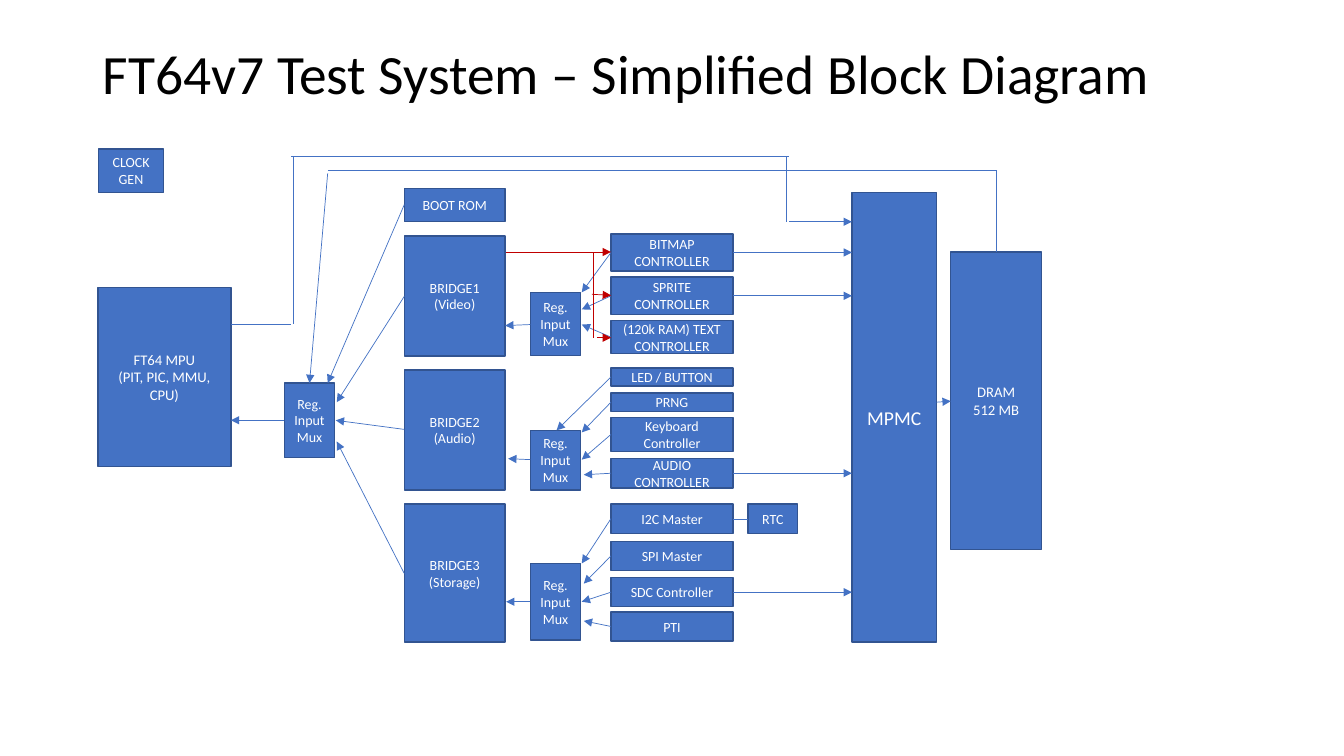
import pptx
import pptx.util
import pptx.dml.color
import pptx.enum.shapes
import pptx.enum.text
import pptx.oxml.ns
import lxml.etree

HUES = {"blue": "4472C4", "edge": "325491", "red": "C00000",
        "white": "FFFFFF", "black": "000000"}
FONT = "Calibri"
CELL = 0.1  # inches per grid column and row


def grid(count):
    return pptx.util.Inches(count * CELL)


def hue(name):
    return pptx.dml.color.RGBColor.from_string(HUES[name])


def write(frame, text, size=10, color="white", align="CENTER", inset=1, space=None):
    frame.word_wrap = True
    frame.auto_size = pptx.enum.text.MSO_AUTO_SIZE.NONE
    frame.vertical_anchor = pptx.enum.text.MSO_ANCHOR.MIDDLE
    frame.margin_left = frame.margin_right = grid(inset)
    frame.margin_top = frame.margin_bottom = 0
    frame.text = text
    for para in frame.paragraphs:
        para.alignment = getattr(pptx.enum.text.PP_ALIGN, align)
        para.line_spacing = space
        for run in para.runs:
            run.font.name = FONT
            run.font.size = pptx.util.Pt(size)
            run.font.color.rgb = hue(color)


class Chart:
    """Draws blocks and wires on a slide, measured in grid cells."""

    def __init__(self, deck):
        self.slide = deck.slides.add_slide(deck.slide_layouts[5])
        self.shapes = self.slide.shapes

    def title(self, text, left, top, width, height):
        head = self.shapes.title
        head.left, head.top = grid(left), grid(top)
        head.width, head.height = grid(width), grid(height)
        write(head.text_frame, text, size=39.6, color="black", align="LEFT", space=0.9)

    def block(self, text, left, top, width, height, size=10):
        kind = pptx.enum.shapes.MSO_SHAPE.RECTANGLE
        box = self.shapes.add_shape(kind, *map(grid, (left, top, width, height)))
        box.shadow.inherit = False
        box.fill.solid()
        box.fill.fore_color.rgb = hue("blue")
        box.line.color.rgb = hue("edge")
        box.line.width = pptx.util.Pt(1)
        write(box.text_frame, text, size=size, inset=0.5 if width < 6 else 1)

    def wire(self, start, end, color="blue", arrow=True):
        kind = pptx.enum.shapes.MSO_CONNECTOR.STRAIGHT
        link = self.shapes.add_connector(kind, *map(grid, (*start, *end)))
        link.line.color.rgb = hue(color)
        link.line.width = pptx.util.Pt(0.5)
        name = pptx.oxml.ns.qn
        props = link.element.spPr
        if arrow:
            line = props.find(name("a:ln"))
            lxml.etree.SubElement(line, name("a:tailEnd"), type="triangle")
        lxml.etree.SubElement(props, name("a:effectLst"))


# Column edges
BRIDGE, BRIDGE_W = 40.1, 10
MUX, MUX_W = 52.6, 5
UNIT, UNIT_W = 60.6, 12.1
PORT = 84.5  # left edge of the memory controller

# Text, left, top, width, height, text size
MAIN = [
    ("FT64 MPU\n(PIT, PIC, MMU, CPU)", 9.7, 28.5, 13.2, 17.8, 10.5),
    ("Reg. Input Mux", 28.2, 38, MUX_W, 7.4, 10),
    ("BOOT ROM", BRIDGE, 18.7, BRIDGE_W, 3.3, 10),
    ("RTC", 74.2, 50, 4.9, 2.9, 10),
    ("DRAM\n512 MB", 94.3, 25, 9, 29.5, 10.5),
    ("MPMC", PORT, 19.1, 8.4, 44.6, 14),
    ("CLOCK GEN", 9.8, 14.8, 6.4, 4.3, 10),
]

# Text, top, height, wire start row, wire end in the main mux
BRIDGES = [
    ("BRIDGE1\n(Video)", 23.4, 11.9, 29.4, (33.4, 39.9)),
    ("BRIDGE2\n(Audio)", 36.7, 11.9, 42.6, (33.3, 41.7)),
    ("BRIDGE3\n(Storage)", 50, 13.7, 56.9, (33.4, 43.8)),
]

# Top, height, wire start row, wire end at the bridge
MUXES = [
    (29, 6.3, 32.2, (50.1, 32.3)),
    (42.7, 5.9, 45.6, (50.4, 45.5)),
    (55.9, 7.6, 59.7, (50.2, 59.7)),
]

# Text, top, height, wire end at the mux, wired to memory
UNITS = [
    ("BITMAP\nCONTROLLER", 23.2, 3.7, (57.7, 29), True),
    ("SPRITE\nCONTROLLER", 27.5, 3.7, (57.7, 30.7), True),
    ("(120k RAM) TEXT\nCONTROLLER", 31.8, 3.3, (57.7, 32.2), False),
    ("LED / BUTTON", 36.5, 1.8, (55.2, 42.7), False),
    ("PRNG", 39, 1.8, (57.7, 42.9), False),
    ("Keyboard\nController", 41.4, 3.4, (57.7, 45.6), False),
    ("AUDIO\nCONTROLLER", 45.5, 2.9, (57.9, 47.1), True),
    ("I2C Master", 50, 2.9, (57.7, 55.9), False),
    ("SPI Master", 53.7, 2.9, (57.9, 57.9), False),
    ("SDC Controller", 57.3, 2.9, (57.7, 59.7), True),
    ("PTI", 60.7, 2.9, (57.9, 61.6), False),
]

# Start, end, colour, arrowhead
WIRES = [
    # Boot ROM and mux output
    ((BRIDGE, 20.3), (32.5, 38), "blue", True),
    ((28.2, 41.7), (22.9, 41.7), "blue", True),
    # Clock chip and memory
    ((72.7, 51.5), (74.2, 51.5), "blue", False),
    ((92.9, 39.9), (94.3, 39.8), "blue", True),
    # Memory back to the main mux
    ((98.8, 25), (98.8, 16.9), "blue", False),
    ((98.8, 16.9), (32.5, 16.9), "blue", False),
    ((32.5, 17.2), (30.7, 38), "blue", True),
    # Processor to the memory controller
    ((22.9, 32.2), (28.9, 32.2), "blue", False),
    ((29.1, 32.1), (29.1, 15.5), "blue", False),
    ((28.9, 15.5), (78.3, 15.5), "blue", False),
    ((78, 15.6), (78, 22), "blue", False),
    ((78.3, 22), (PORT, 22), "blue", True),
    # Video bridge to its controllers
    ((50.2, 25), (UNIT, 25), "red", True),
    ((58.9, 25), (58.9, 33.5), "red", False),
    ((59.2, 33.5), (UNIT, 33.5), "red", True),
    ((58.7, 29.2), (UNIT, 29.3), "red", True),
]


def main():
    deck = pptx.Presentation()
    deck.slide_width = pptx.util.Inches(13.33)
    deck.slide_height = pptx.util.Inches(7.5)
    chart = Chart(deck)
    chart.title("FT64v7 Test System – Simplified Block Diagram", 9.2, 4, 115, 7.1)

    # Main blocks
    for block in MAIN:
        chart.block(*block)

    # Bridges and their muxes
    for text, top, high, row, end in BRIDGES:
        chart.block(text, BRIDGE, top, BRIDGE_W, high)
        chart.wire((BRIDGE, row), end)
    for top, high, row, end in MUXES:
        chart.block("Reg. Input Mux", MUX, top, MUX_W, high)
        chart.wire((MUX, row), end)

    # Controllers
    for text, top, high, end, wired in UNITS:
        chart.block(text, UNIT, top, UNIT_W, high)
        row = top + high / 2
        chart.wire((UNIT, row), end)
        if wired:
            chart.wire((UNIT + UNIT_W, row), (PORT, row))

    # Other wires
    for wire in WIRES:
        chart.wire(*wire)

    deck.save("out.pptx")


if __name__ == "__main__":
    main()
